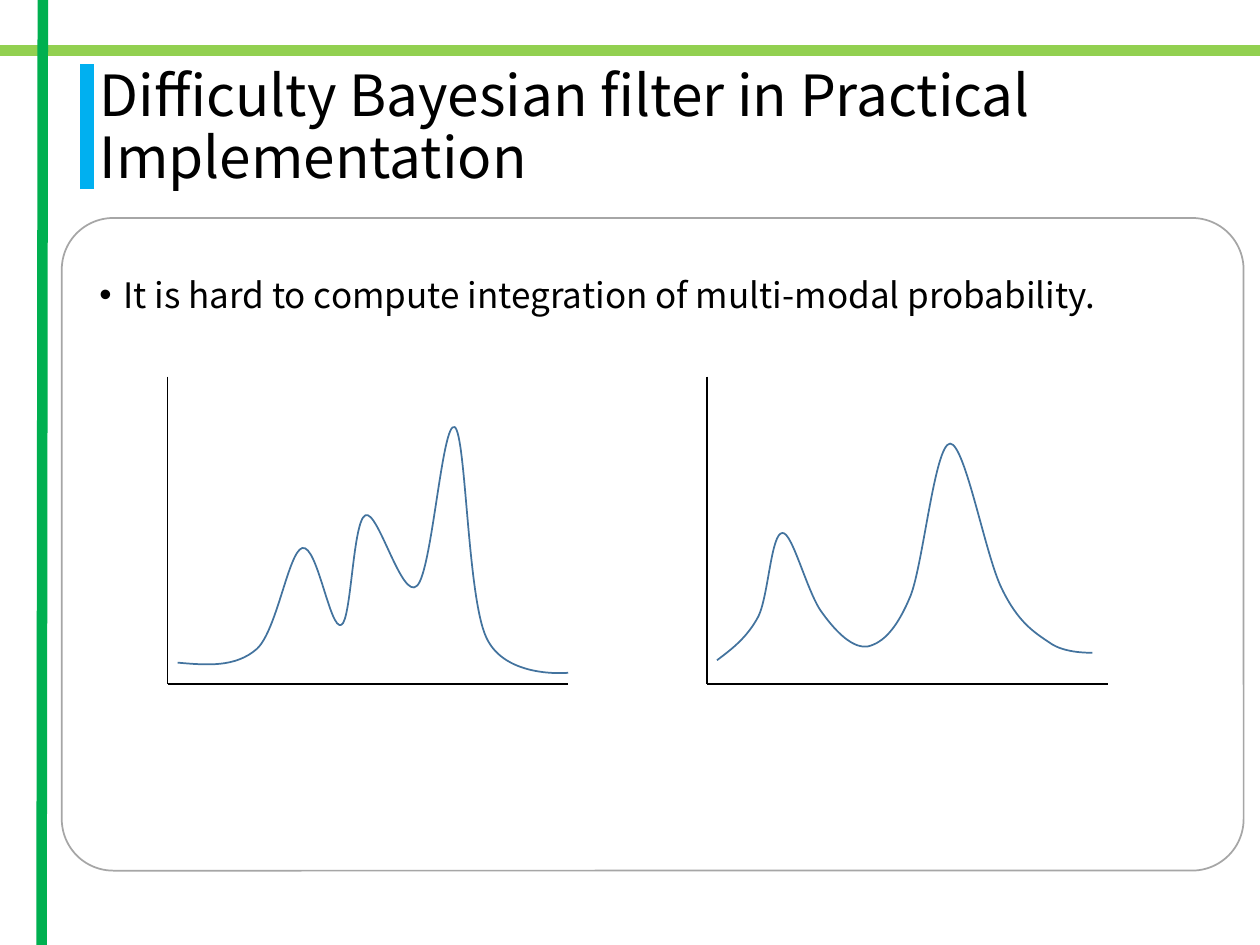
from lxml import etree
from pptx import Presentation
from pptx.dml.color import RGBColor
from pptx.enum import shapes, text
from pptx.oxml.ns import qn
from pptx.util import Inches, Pt

FONT = "Noto Sans CJK KR"
TITLE = "Difficulty Bayesian filter in Practical Implementation"
BULLET = "It is hard to compute integration of multi-modal probability."

# start, end, colour, width in points
FRAME_LINES = [
    ((0, 0.4), (10, 0.4), "92D050", 6),
    ((0.34, 0), (0.33, 7.5), "00B050", 6),
    ((0.69, 1.5), (0.69, 0.51), "00B0F0", 8),
]

# Each density: left end of its axes, then a start point followed by
# Bezier triples (control, control, end)
AXIS_TOP, AXIS_BOTTOM, AXIS_WIDTH = 2.99, 5.43, 3.18
DENSITIES = [
    (1.33, [
        (1.41, 5.26),
        (1.64, 5.28), (1.87, 5.3), (2.04, 5.15),
        (2.2, 5), (2.29, 4.38), (2.4, 4.35),
        (2.52, 4.32), (2.62, 5.01), (2.71, 4.96),
        (2.79, 4.92), (2.8, 4.14), (2.9, 4.09),
        (3, 4.04), (3.19, 4.77), (3.31, 4.65),
        (3.43, 4.54), (3.51, 3.33), (3.61, 3.39),
        (3.7, 3.46), (3.71, 4.74), (3.86, 5.06),
        (4.01, 5.39), (4.51, 5.34), (4.51, 5.34),
    ]),
    (5.61, [
        (5.69, 5.24),
        (5.81, 5.15), (5.93, 5.06), (6.02, 4.89),
        (6.1, 4.72), (6.12, 4.23), (6.21, 4.23),
        (6.29, 4.22), (6.41, 4.72), (6.53, 4.87),
        (6.64, 5.02), (6.77, 5.15), (6.89, 5.13),
        (7.01, 5.1), (7.12, 4.99), (7.23, 4.72),
        (7.33, 4.45), (7.42, 3.53), (7.54, 3.52),
        (7.66, 3.52), (7.82, 4.41), (7.95, 4.67),
        (8.08, 4.94), (8.21, 5.02), (8.33, 5.1),
        (8.45, 5.19), (8.67, 5.18), (8.67, 5.18),
    ]),
]


def rgb(value):
    return RGBColor.from_string(value)


def set_line(shape, color, width):
    shape.line.color.rgb = rgb(color)
    shape.line.width = Pt(width)


def add_line(s, start, end, color, width):
    line = s.shapes.add_connector(shapes.MSO_CONNECTOR.STRAIGHT,
                                  *map(Inches, start + end))
    set_line(line, color, width)
    etree.SubElement(line._element.spPr, qn("a:effectLst"))


def add_curve(s, points, color, width):
    """Draw a freeform through the points, each triple being one Bezier segment."""
    start, *rest = [(Inches(x), Inches(y)) for x, y in points]
    builder = s.shapes.build_freeform(*start)
    builder.add_line_segments(rest, close=False)
    curve = builder.convert_to_shape()
    curve.shadow.inherit = False
    curve.fill.background()
    set_line(curve, color, width)
    path = next(curve._element.iter(qn("a:path")))
    segments = path.findall(qn("a:lnTo"))
    for i in range(0, len(segments), 3):
        bezier = etree.SubElement(path, qn("a:cubicBezTo"))
        for segment in segments[i:i + 3]:
            bezier.append(segment[0])
            path.remove(segment)


def add_run(p, content, size):
    r = p.add_run()
    r.text = content
    r.font.name = FONT
    r.font.size = Pt(size)
    r.font.color.rgb = rgb("000000")


prs = Presentation()
prs.slide_width, prs.slide_height = Inches(10), Inches(7.5)
s = prs.slides.add_slide(prs.slide_layouts[5])

for frame_line in FRAME_LINES:
    add_line(s, *frame_line)

panel = s.shapes.add_shape(shapes.MSO_SHAPE.ROUNDED_RECTANGLE,
                           *map(Inches, (0.49, 1.73, 9.38, 5.18)))
panel.adjustments[0] = 0.079
panel.shadow.inherit = False
panel.fill.background()
set_line(panel, "A6A6A6", 1)

title = s.shapes.title
title.left, title.top, title.width, title.height = map(Inches, (0.69, 0.48, 8.62, 1.09))
tf = title.text_frame
tf.word_wrap = True
tf.auto_size = text.MSO_AUTO_SIZE.NONE
tf.vertical_anchor = text.MSO_ANCHOR.MIDDLE
p = tf.paragraphs[0]
p.alignment = text.PP_ALIGN.LEFT
p.line_spacing = 0.9
add_run(p, TITLE, 32.4)

body = s.shapes.add_textbox(*map(Inches, (0.69, 2.12, 8.97, 0.44)))
tf = body.text_frame
tf.word_wrap = True
tf.auto_size = text.MSO_AUTO_SIZE.SHAPE_TO_FIT_TEXT
p = tf.paragraphs[0]
pPr = p._p.get_or_add_pPr()
pPr.set("marL", str(Inches(0.19)))
pPr.set("indent", str(-Inches(0.19)))
etree.SubElement(pPr, qn("a:buFont"), typeface="Arial")
etree.SubElement(pPr, qn("a:buChar"), char="•")
add_run(p, BULLET, 20)

for left, points in DENSITIES:
    origin = (left, AXIS_BOTTOM)
    add_line(s, (left, AXIS_TOP), origin, "000000", 1)
    add_line(s, (left + AXIS_WIDTH, AXIS_BOTTOM), origin, "000000", 1)
    add_curve(s, points, "43739E", 1)

prs.save("out.pptx")
